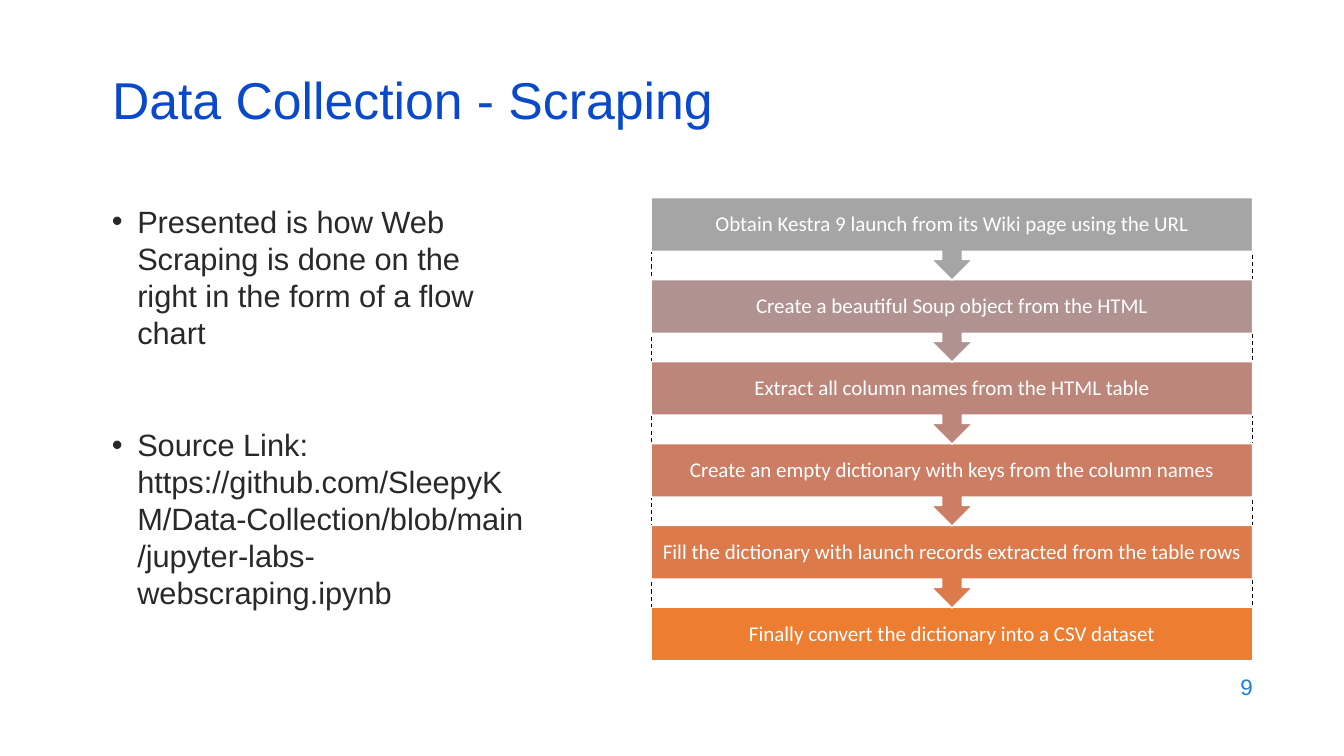
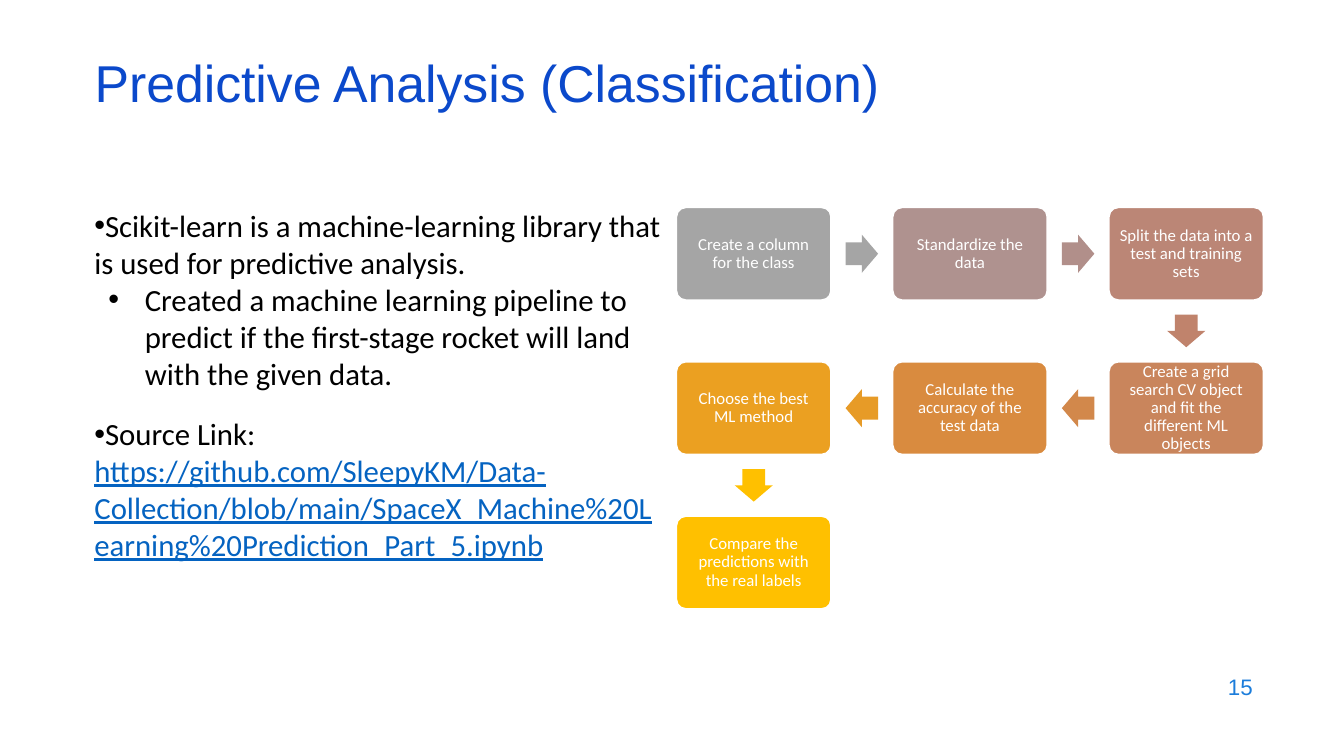
from lxml import etree
from pptx import Presentation
from pptx.dml.color import RGBColor
from pptx.enum.dml import MSO_LINE
from pptx.enum.shapes import MSO_SHAPE
from pptx.enum.text import MSO_ANCHOR, MSO_AUTO_SIZE, PP_ALIGN
from pptx.oxml.ns import qn
from pptx.util import Cm, Pt

RECTANGLE, ROUNDED = MSO_SHAPE.RECTANGLE, MSO_SHAPE.ROUNDED_RECTANGLE
CALLOUT, ARROW = MSO_SHAPE.DOWN_ARROW_CALLOUT, MSO_SHAPE.RIGHT_ARROW
TOP, MIDDLE = MSO_ANCHOR.TOP, MSO_ANCHOR.MIDDLE
LEFT, CENTER, RIGHT = PP_ALIGN.LEFT, PP_ALIGN.CENTER, PP_ALIGN.RIGHT
DASH = MSO_LINE.DASH
NO_AUTOFIT = MSO_AUTO_SIZE.NONE

TITLE_BLUE = RGBColor(0x0B, 0x49, 0xCB)
NUMBER_BLUE = RGBColor(0x1C, 0x7D, 0xDB)
LINK_BLUE = RGBColor(0x05, 0x63, 0xC1)
CHARCOAL = RGBColor(0x29, 0x29, 0x29)
BLACK = RGBColor(0, 0, 0)
WHITE = RGBColor(0xFF, 0xFF, 0xFF)

TITLE_FONT = {"name": "Arial", "size": Pt(37), "color": TITLE_BLUE}
NUMBER_FONT = {"name": "Arial", "size": Pt(16), "color": NUMBER_BLUE}
SCRAPING_FONT = {"name": "Arial", "size": Pt(22), "color": CHARCOAL}
ANALYSIS_FONT = {"name": "Calibri", "size": Pt(22), "color": BLACK}
LINK_FONT = {**ANALYSIS_FONT, "color": LINK_BLUE, "underline": True}
FLOW_FONT = {"name": "Calibri", "size": Pt(15), "color": WHITE}
SNAKE_FONT = {**FLOW_FONT, "size": Pt(12)}
BODY_LEADING = Pt(26.4)

# Bullets: (runs, left margin, hanging indent, space before)
SCRAPING_BULLETS = [
    ([("Presented is how Web Scraping is done on the right in the form of a "
       "flow chart", SCRAPING_FONT)], Cm(0.64), Cm(-0.64), Pt(0)),
    ([("Source Link: https://github.com/SleepyKM/Data-Collection/blob/main/"
       "jupyter-labs-webscraping.ipynb", SCRAPING_FONT)],
     Cm(0.64), Cm(-0.64), Pt(54)),
]
ANALYSIS_BULLETS = [
    ([("Scikit-learn is a machine-learning library that is used for "
       "predictive analysis.", ANALYSIS_FONT)], Cm(0), Cm(0), Pt(0)),
    ([("Created a machine learning pipeline to predict if the first-stage "
       "rocket will land with the given data.", ANALYSIS_FONT)],
     Cm(1.27), Cm(-0.92), Pt(0)),
    ([("Source Link: ", ANALYSIS_FONT),
      ("https://github.com/SleepyKM/Data-Collection/blob/main/"
       "SpaceX_Machine%20Learning%20Prediction_Part_5.ipynb", LINK_FONT)],
     Cm(0), Cm(0), Pt(17)),
]
SCRAPING_STEPS = [
    ("Obtain Kestra 9 launch from its Wiki page using the URL", "A5A5A5"),
    ("Create a beautiful Soup object from the HTML", "B09391"),
    ("Extract all column names from the HTML table", "BD867B"),
    ("Create an empty dictionary with keys from the column names", "CC7D64"),
    ("Fill the dictionary with launch records extracted from the table rows",
     "DC7A4B"),
    ("Finally convert the dictionary into a CSV dataset", "ED7D31"),
]
# Steps: (text, box colour, colour of the arrow that follows)
ANALYSIS_STEPS = [
    ("Create a column for the class", "A5A5A5", "A5A5A5"),
    ("Standardize the data", "AF928F", "B18F8A"),
    ("Split the data into a test and training sets", "BB8676", "C0836C"),
    ("Create a grid search CV object and fit the different ML objects",
     "C9855C", "D2884B"),
    ("Calculate the accuracy of the test data", "D98B3F", "E79B27"),
    ("Choose the best ML method", "EBA021", "FFC000"),
    ("Compare the predictions with the real labels", "FFC000", None),
]


def set_font(run, style):
    for attribute, value in style.items():
        if attribute == "color":
            run.font.color.rgb = value
        else:
            setattr(run.font, attribute, value)


def set_frame(frame, anchor, margins=None):
    frame.word_wrap = True
    frame.auto_size = NO_AUTOFIT
    frame.vertical_anchor = anchor
    if margins is not None:
        for side in ("left", "top", "right", "bottom"):
            setattr(frame, f"margin_{side}", margins)


def write(paragraph, runs, alignment, spacing):
    paragraph.alignment = alignment
    paragraph.line_spacing = spacing
    for text, style in runs:
        run = paragraph.add_run()
        run.text = text
        set_font(run, style)


def add_titled_slide(prs, title, left, top, number):
    slide = prs.slides.add_slide(prs.slide_layouts[5])
    heading = slide.shapes.title
    heading.left, heading.top = left, top
    heading.width, heading.height = Cm(29.2), Cm(1.52)
    set_frame(heading.text_frame, MIDDLE)
    write(heading.text_frame.paragraphs[0], [(title, TITLE_FONT)], LEFT, 0.7)

    footer = slide.shapes.add_textbox(Cm(24.2), Cm(16.74), Cm(7.62), Cm(1.12))
    set_frame(footer.text_frame, MIDDLE)
    write(footer.text_frame.paragraphs[0], [(number, NUMBER_FONT)], RIGHT, 1.0)
    return slide


def add_bullets(slide, bullets, left, top, width, height):
    frame = slide.shapes.add_textbox(left, top, width, height).text_frame
    set_frame(frame, TOP)
    for index, (runs, margin, indent, before) in enumerate(bullets):
        paragraph = frame.add_paragraph() if index else frame.paragraphs[0]
        properties = paragraph._p.get_or_add_pPr()
        properties.set("marL", str(margin))
        properties.set("indent", str(indent))
        etree.SubElement(properties, qn("a:buFont")).set("typeface", "Arial")
        etree.SubElement(properties, qn("a:buChar")).set("char", "•")
        paragraph.space_before = before
        write(paragraph, runs, LEFT, BODY_LEADING)


def add_filled(slide, preset, left, top, width, height, fill, outline=WHITE):
    shape = slide.shapes.add_shape(preset, left, top, width, height)
    shape.shadow.inherit = False
    if fill:
        shape.fill.solid()
        shape.fill.fore_color.rgb = RGBColor.from_string(fill)
    else:
        shape.fill.background()
    if outline is None:
        shape.line.fill.background()
    else:
        shape.line.color.rgb = outline
        shape.line.width = Pt(1)
    return shape


def label(shape, text, style, margins):
    set_frame(shape.text_frame, MIDDLE, margins)
    write(shape.text_frame.paragraphs[0], [(text, style)], CENTER, 0.9)


def add_callout_flow(slide, steps):
    """Stack the steps downwards, each callout pointing at the next box."""
    left, top, width, height = Cm(16.41), Cm(4.98), Cm(15.16), Cm(11.68)
    callout_height, box_height = Cm(2.08), Cm(1.35)
    last = len(steps) - 1
    pitch = (height - box_height) / last

    frame = add_filled(slide, RECTANGLE, left, top, width, height, None, BLACK)
    frame.line.width = Pt(0.75)
    frame.line.dash_style = DASH

    for index, (text, fill) in reversed(list(enumerate(steps))):
        preset, step_height = ((RECTANGLE, box_height) if index == last
                               else (CALLOUT, callout_height))
        step = add_filled(slide, preset, left, int(top + index * pitch),
                          width, step_height, fill)
        label(step, text, FLOW_FONT, Cm(0.2))


def add_snake_flow(slide, steps):
    """Lay the steps out in rows that run right, then left, and so on."""
    columns = 3
    left, top = Cm(17.05), Cm(5.23)
    box_width, box_height = Cm(3.89), Cm(2.33)
    pitch_x, pitch_y = Cm(5.45), Cm(3.89)
    arrow_width, arrow_height = Cm(0.82), Cm(0.96)

    corners = []
    for index in range(len(steps)):
        row, column = divmod(index, columns)
        if row % 2:
            column = columns - 1 - column
        corners.append((left + column * pitch_x, top + row * pitch_y))

    for (x, y), (text, fill, _) in zip(corners, steps):
        box = add_filled(slide, ROUNDED, x, y, box_width, box_height, fill)
        box.adjustments[0] = 0.1
        label(box, text, SNAKE_FONT, Cm(0.2))

    for (x, y), (next_x, next_y), step in zip(corners, corners[1:], steps):
        center_x = (x + next_x + box_width) // 2
        center_y = (y + next_y + box_height) // 2
        arrow = add_filled(slide, ARROW, center_x - arrow_width // 2,
                           center_y - arrow_height // 2,
                           arrow_width, arrow_height, step[2], None)
        arrow.adjustments[0] = 0.6
        if next_y > y:
            arrow.rotation = 90
        elif next_x < x:
            arrow.rotation = 180


def main():
    prs = Presentation()
    prs.slide_width, prs.slide_height = Cm(33.87), Cm(19.05)

    scraping = add_titled_slide(prs, "Data Collection - Scraping",
                                Cm(2.57), Cm(1.93), "9")
    add_bullets(scraping, SCRAPING_BULLETS,
                Cm(2.57), Cm(4.98), Cm(10.92), Cm(10.6))
    add_callout_flow(scraping, SCRAPING_STEPS)

    analysis = add_titled_slide(prs, "Predictive Analysis (Classification)",
                                Cm(2.13), Cm(1.5), "15")
    add_bullets(analysis, ANALYSIS_BULLETS,
                Cm(2.13), Cm(5.08), Cm(14.82), Cm(12.1))
    add_snake_flow(analysis, ANALYSIS_STEPS)

    prs.save("out.pptx")


if __name__ == "__main__":
    main()
